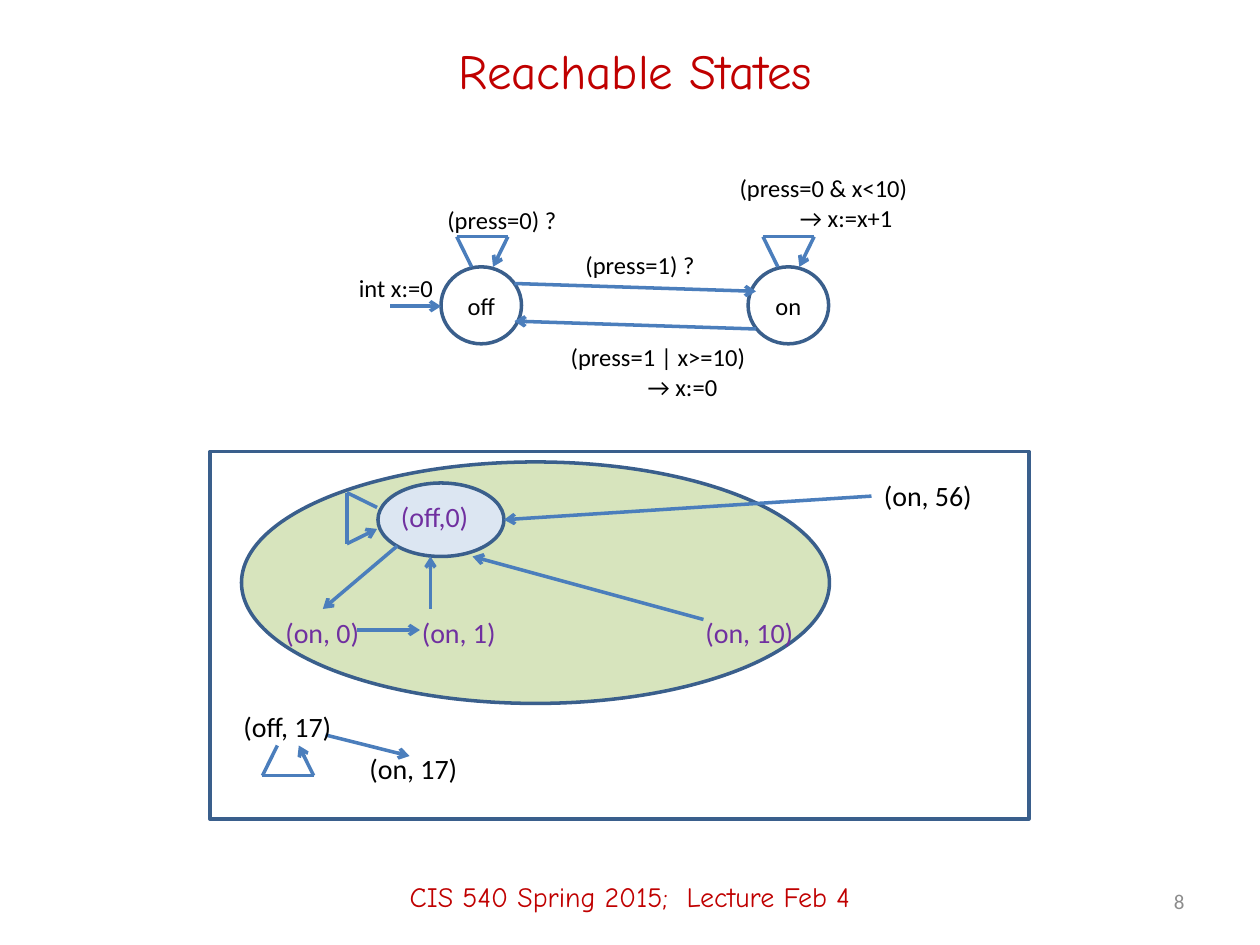
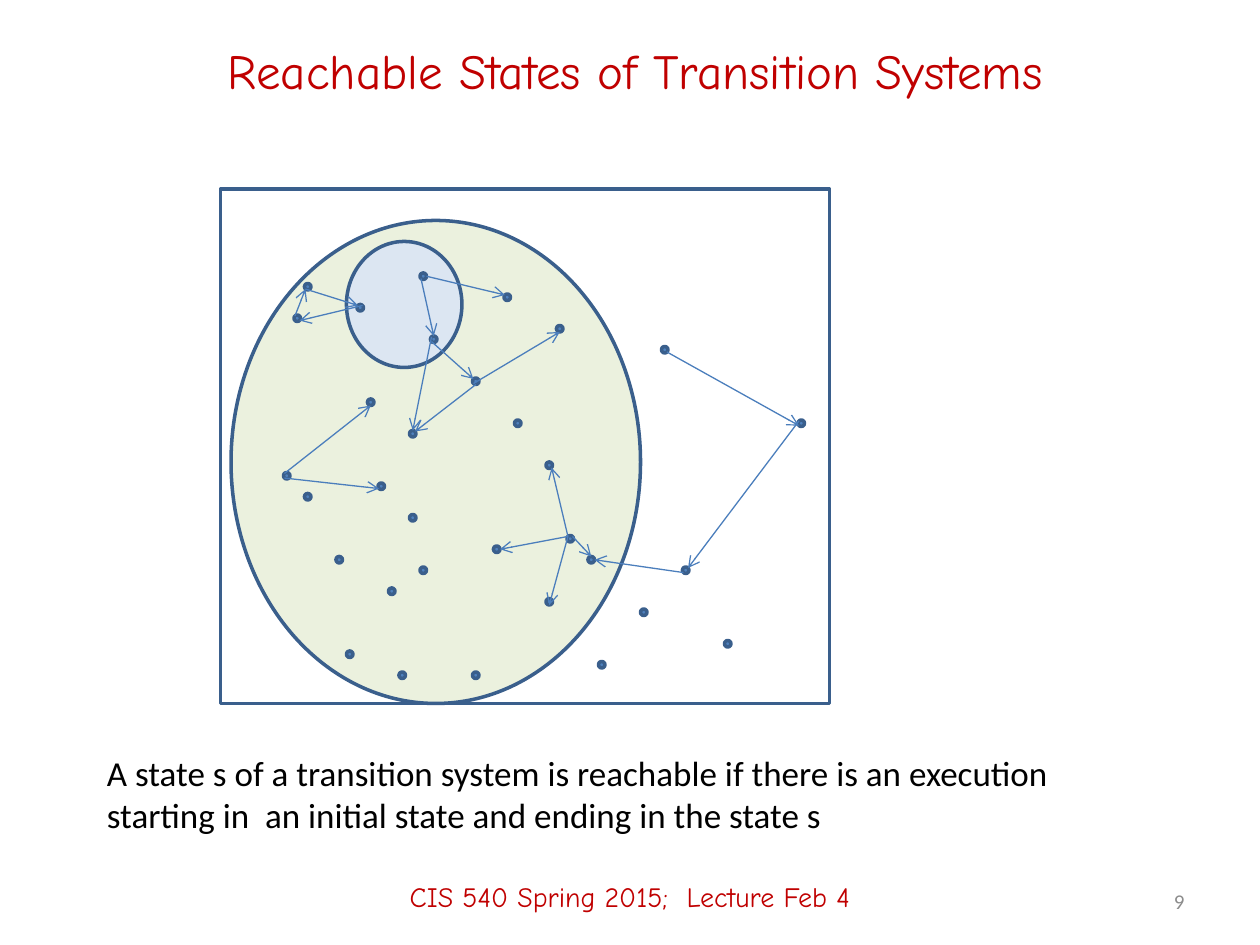
from lxml import etree
from pptx import Presentation
from pptx.dml.color import RGBColor
from pptx.enum.shapes import MSO_CONNECTOR, MSO_SHAPE
from pptx.enum.text import MSO_ANCHOR, PP_ALIGN
from pptx.oxml.ns import qn
from pptx.util import Pt

LEFT, CENTER, RIGHT = PP_ALIGN.LEFT, PP_ALIGN.CENTER, PP_ALIGN.RIGHT
TOP, MIDDLE = MSO_ANCHOR.TOP, MSO_ANCHOR.MIDDLE
OVAL, RECT = MSO_SHAPE.OVAL, MSO_SHAPE.RECTANGLE
STRAIGHT = MSO_CONNECTOR.STRAIGHT

BLACK = RGBColor(0x00, 0x00, 0x00)
RED = RGBColor(0xC0, 0x00, 0x00)
PURPLE = RGBColor(0x70, 0x30, 0xA0)
GREY = RGBColor(0x8C, 0x8C, 0x8C)
OUTLINE = RGBColor(0x3A, 0x5F, 0x8C)
ARROW = RGBColor(0x4B, 0x7E, 0xBC)
DOT_FILL = RGBColor(0x4F, 0x81, 0xBD)
GREEN = RGBColor(0xD7, 0xE4, 0xBD)
PALE_GREEN = RGBColor(0xEB, 0xF1, 0xDE)
PALE_BLUE = RGBColor(0xDC, 0xE6, 0xF2)

HEAD_FONT, BODY_FONT = "Comic Neue", "Calibri"
FOOTER = "CIS 540 Spring 2015;  Lecture Feb 4"

# Slide 8: the switch as a state machine, then its states
MODES = [("off", 252), ("on", 427.5)]
MODE_TOP, MODE_W, MODE_H = 152.5, 46, 44

# left, top, width, lines, indent of the second line
GUARDS = [
    (198, 152.5, 57.5, ["int x:=0"], 0),
    (248.5, 113.5, 78, ["(press=0) ?"], 0),
    (327.5, 139.5, 78, ["(press=1) ?"], 0),
    (415.5, 95.5, 114.5, ["(press=0 & x<10)", "→ x:=x+1"], 34.5),
    (319, 192, 119, ["(press=1 | x>=10)", "→ x:=0"], 44),
]
# left, top, width, text, colour
STATES = [
    (222, 282, 54, "(off,0)", PURPLE),
    (156, 348, 57.5, "(on, 0)", PURPLE),
    (234, 348, 57.5, "(on, 1)", PURPLE),
    (396, 348, 65.5, "(on, 10)", PURPLE),
    (498, 270, 65.5, "(on, 56)", BLACK),
    (132, 402, 65.5, "(off, 17)", BLACK),
    (204, 426, 65.5, "(on, 17)", BLACK),
]
SWITCH_ARROWS = [
    ((223, 175), (252, 175)),
    ((294, 162), (432, 166.5)),
    ((432, 188), (294, 183.5)),
    ((204, 360), (240, 360)),
    ((498, 283.5), (288, 297)),
    ((227, 312), (184.5, 348)),
    ((186, 420), (234, 432)),
    ((246, 348), (246, 318)),
    ((402, 354), (270, 318)),
]
# start, outward direction, direction along the state's edge
SELF_LOOPS = [
    ((269.5, 152.5), (0, -1), (1, 0)),
    ((444.5, 152.5), (0, -1), (1, 0)),
    ((215.5, 290), (-1, 0), (0, 1)),
    ((158.5, 426), (0, 1), (1, 0)),
]

# Slide 9: states as dots on a grid (column, row)
GRID, DOT = 6, 3.75
DOTS = [
    (29, 27), (34, 29), (28, 30), (35, 38), (40, 26), (41, 32), (39, 41),
    (39, 49), (48, 28), (49, 40), (36, 46), (37, 56), (53, 31), (45, 36),
    (40, 54), (47, 52), (27, 45), (29, 47), (32, 53), (33, 62), (54, 51),
    (56, 53), (52, 57), (45, 64), (52, 44), (63, 33), (61, 58), (38, 64),
    (57, 63), (76, 40), (65, 54), (69, 61),
]
# dot, side it leaves from, dot, side it arrives at
TRANSITIONS = [
    ((40, 26), "E", (48, 28), "NW"), ((40, 26), "SW", (41, 32), "N"),
    ((54, 51), "NW", (52, 57), "S"), ((54, 51), "NW", (47, 52), "E"),
    ((54, 51), "NE", (56, 53), "N"), ((54, 51), "NW", (52, 44), "SE"),
    ((27, 45), "NW", (35, 38), "S"), ((27, 45), "SW", (36, 46), "SW"),
    ((65, 54), "SW", (56, 53), "E"), ((63, 33), "SE", (76, 40), "SW"),
    ((76, 40), "NW", (65, 54), "NE"), ((41, 32), "SW", (45, 36), "NW"),
    ((41, 32), "NW", (39, 41), "N"), ((45, 36), "S", (39, 41), "NE"),
    ((45, 36), "SW", (53, 31), "S"), ((34, 29), "NE", (28, 30), "SE"),
    ((28, 30), "NW", (29, 27), "SW"), ((29, 27), "SW", (34, 29), "NW"),
]
# fractions of the dot's width and height
SIDES = {
    "N": (0.5, 0), "E": (1, 0.5), "S": (0.5, 1),
    "NW": (0.15, 0.15), "NE": (0.85, 0.15),
    "SW": (0.15, 0.85), "SE": (0.85, 0.85),
}
DEFINITION = [
    "A state s of a transition system is reachable if there is an execution",
    "starting in  an initial state and ending in the state s",
]


def write(tf, lines, size, color=BLACK, font=BODY_FONT, align=LEFT):
    tf.text = "\n".join(lines)
    for p in tf.paragraphs:
        p.alignment = align
        for r in p.runs:
            r.font.size, r.font.name = Pt(size), font
            r.font.color.rgb = color


def add_text(s, box, lines, size, color=BLACK, font=BODY_FONT, align=LEFT,
             anchor=TOP, wrap=True):
    tf = s.shapes.add_textbox(*map(Pt, box)).text_frame
    tf.word_wrap, tf.vertical_anchor = wrap, anchor
    write(tf, lines, size, color, font, align)
    return tf


def add_outlined(s, kind, box, fill=None):
    sp = s.shapes.add_shape(kind, *map(Pt, box))
    sp.shadow.inherit = False
    if fill is None:
        sp.fill.background()
    else:
        sp.fill.solid()
        sp.fill.fore_color.rgb = fill
    sp.line.color.rgb, sp.line.width = OUTLINE, Pt(2)
    return sp


def add_line(s, start, end, width=2, head=True):
    c = s.shapes.add_connector(STRAIGHT, *map(Pt, (*start, *end)))
    c.line.color.rgb, c.line.width = ARROW, Pt(width)
    if head:
        etree.SubElement(c.line._get_or_add_ln(), qn("a:tailEnd"), type="arrow")
    etree.SubElement(c._element.spPr, qn("a:effectLst"))


def add_self_loop(s, start, out, along):
    def point(o, a):
        return tuple(p + o * u + a * v for p, u, v in zip(start, out, along))

    corners = [start, point(17.25, -8.5), point(17.25, 20.75), point(0, 12.25)]
    for i in range(3):
        add_line(s, corners[i], corners[i + 1], head=i == 2)


def dot_side(dot, side):
    return tuple(g * GRID + f * DOT for g, f in zip(dot, SIDES[side]))


def add_slide(prs, title, number):
    """Blank slide with the shared title, footer and page number."""
    s = prs.slides.add_slide(prs.slide_layouts[6])
    add_text(s, (54, 12, 618, 56), [title], 28, RED, HEAD_FONT, CENTER, MIDDLE)
    add_text(s, (0, 484, 720, 56), [FOOTER], 16, RED, HEAD_FONT, CENTER, MIDDLE)
    add_text(s, (516, 500.5, 168, 29), [str(number)], 12, GREY,
             align=RIGHT, anchor=MIDDLE)
    return s


def build_switch(prs):
    s = add_slide(prs, "Reachable States", 8)
    add_outlined(s, OVAL, (138, 264, 336, 138), GREEN)
    add_outlined(s, RECT, (120, 258, 468, 210))
    add_outlined(s, OVAL, (216, 276, 72, 42), PALE_BLUE)
    for name, left in MODES:
        tf = add_outlined(s, OVAL, (left, MODE_TOP, MODE_W, MODE_H)).text_frame
        tf.margin_left = tf.margin_right = tf.margin_top = tf.margin_bottom = 0
        tf.vertical_anchor = MIDDLE
        write(tf, [name], 14, align=CENTER)
    for start, end in SWITCH_ARROWS:
        add_line(s, start, end)
    for loop in SELF_LOOPS:
        add_self_loop(s, *loop)
    for left, top, width, lines, indent in GUARDS:
        tf = add_text(s, (left, top, width, 7.5 + 17 * len(lines)), lines, 14,
                      wrap=False)
        for p in tf.paragraphs[1:]:
            p._p.get_or_add_pPr().set("marL", str(Pt(indent)))
    for left, top, width, text, color in STATES:
        add_text(s, (left, top, width, 26.5), [text], 16, color, wrap=False)


def build_transition_system(prs):
    s = add_slide(prs, "Reachable States of Transition Systems", 9)
    add_outlined(s, OVAL, (132, 126, 234, 276), PALE_GREEN)
    add_outlined(s, OVAL, (198, 138, 66, 72), PALE_BLUE)
    add_outlined(s, RECT, (126, 108, 348, 294))
    for col, row in DOTS:
        add_outlined(s, OVAL, (col * GRID, row * GRID, DOT, DOT), DOT_FILL)
    for source, leave, target, arrive in TRANSITIONS:
        add_line(s, dot_side(source, leave), dot_side(target, arrive), 0.75)
    add_text(s, (54, 426, 558, 55.5), DEFINITION, 20)


def main():
    prs = Presentation()
    prs.slide_width, prs.slide_height = Pt(720), Pt(540)
    build_switch(prs)
    build_transition_system(prs)
    prs.save("out.pptx")


if __name__ == "__main__":
    main()
